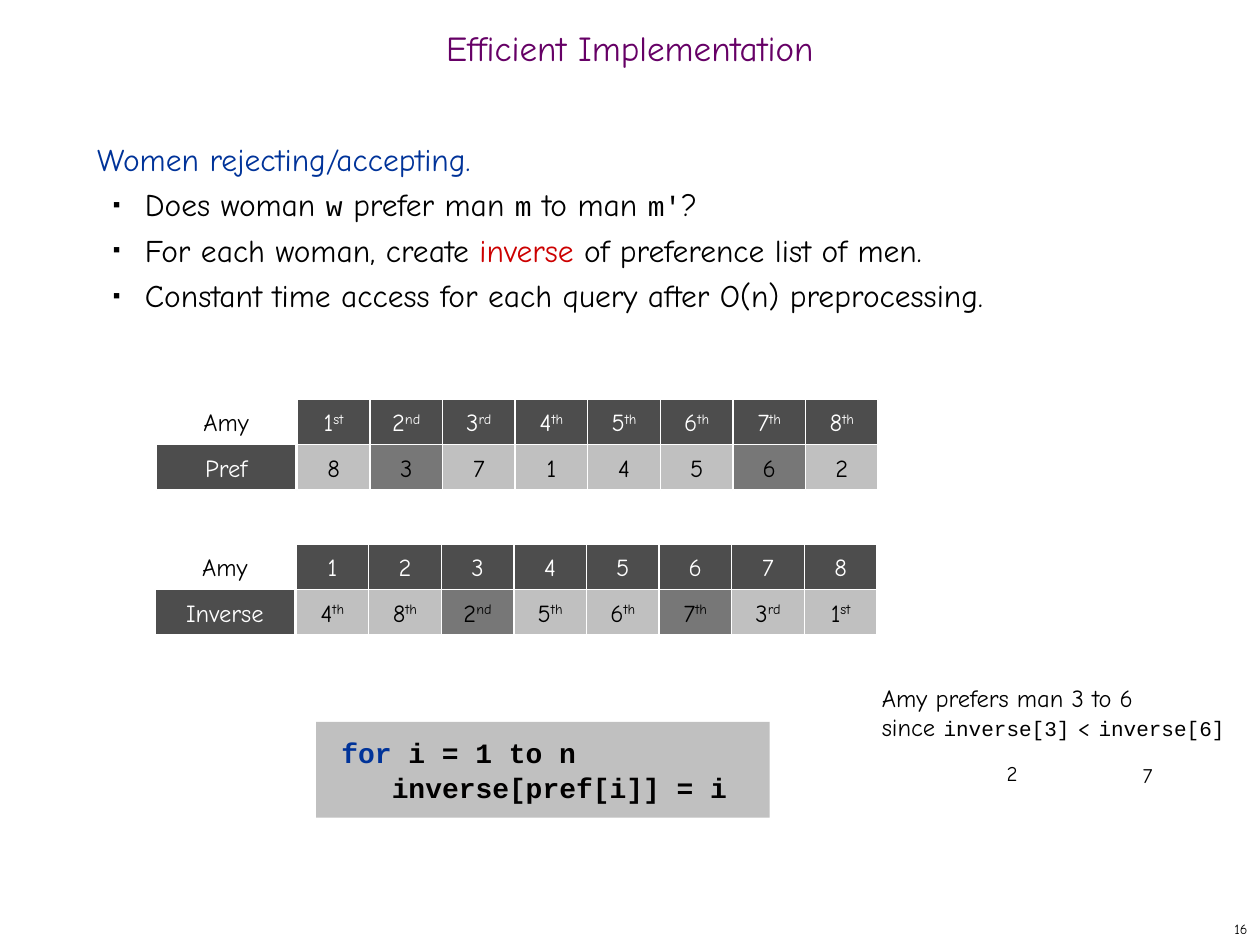
from lxml.etree import SubElement
from pptx import Presentation
from pptx.dml.color import RGBColor
from pptx.enum.shapes import MSO_SHAPE
from pptx.enum.text import MSO_ANCHOR, MSO_AUTO_SIZE, PP_ALIGN
from pptx.oxml.ns import qn
from pptx.util import Inches, Pt

HEX = {"plum": "660066", "blue": "003399", "red": "CC0000", "black": "000000",
       "ink": "010000", "white": "FFFFFF", "dark": "4D4D4D", "mid": "777777",
       "light": "C0C0C0"}
HAND, CODE = "Comic Neue", "Courier New"


def tint(name):
    return RGBColor.from_string(HEX[name])


def add_run(par, text, size, color="black", face=HAND, bold=False):
    run = par.add_run()
    run.text = text
    font = run.font
    font.size, font.name, font.bold = Pt(size), face, bold
    font.color.rgb = tint(color)
    return run


def place(shape, box):
    shape.left, shape.top, shape.width, shape.height = map(Inches, box)


def add_box(slide, box, wrap=False):
    frame = slide.shapes.add_textbox(*map(Inches, box)).text_frame
    frame.word_wrap = wrap
    return frame


def add_rect(shapes, box, fill):
    rect = shapes.add_shape(MSO_SHAPE.RECTANGLE, *map(Inches, box))
    rect.shadow.inherit = False
    if fill:
        rect.fill.solid()
        rect.fill.fore_color.rgb = tint(fill)
    else:
        rect.fill.background()
    return rect


def add_title(slide, box, text):
    title = slide.shapes.title
    place(title, box)
    frame = title.text_frame
    frame.auto_size = MSO_AUTO_SIZE.NONE
    frame.vertical_anchor = MSO_ANCHOR.MIDDLE
    par = frame.paragraphs[0]
    par.alignment, par.line_spacing = PP_ALIGN.CENTER, 0.7
    add_run(par, text, 20, "plum")


def set_bullet(par, on):
    props = par._p.get_or_add_pPr()
    props.set("marL", str(Inches(0.38) if on else 0))
    props.set("indent", str(Inches(-0.25) if on else 0))
    if not on:
        SubElement(props, qn("a:buNone"))
        return
    SubElement(SubElement(props, qn("a:buClr")), qn("a:srgbClr"), val=HEX["black"])
    SubElement(props, qn("a:buSzPct"), val="35000")
    SubElement(props, qn("a:buFont"), typeface="Arial")
    SubElement(props, qn("a:buChar"), char="■")


def add_body(slide, box, head, items):
    body = slide.placeholders[1]
    place(body, box)
    frame = body.text_frame
    frame.auto_size = MSO_AUTO_SIZE.NONE
    for i, runs in enumerate([[(head, 18, "blue")]] + items):
        par = frame.add_paragraph() if i else frame.paragraphs[0]
        par.level = 1 if i else 0
        par.line_spacing, par.space_before = Pt(26), Pt(0)
        set_bullet(par, i > 0)
        for run in runs:
            add_run(par, *run)


def add_cell(group, box, text, fill, color):
    cell = add_rect(group.shapes, box, fill)
    cell.line.color.rgb, cell.line.width = tint("white"), Pt(0.74)
    frame = cell.text_frame
    frame.word_wrap = False
    frame.vertical_anchor = MSO_ANCHOR.MIDDLE
    par = frame.paragraphs[0]
    par.alignment = PP_ALIGN.CENTER
    # Ordinals carry a raised ending
    cut = 1 if text[0].isdigit() else len(text)
    add_run(par, text[:cut], 14, color)
    if text[cut:]:
        end = add_run(par, text[cut:], 14, color)
        end._r.get_or_add_rPr().set("baseline", "30000")


def add_ranks(slide, box, label, rows, marks):
    left, top, wide, high = box
    first, tall = 1.11, high / 2
    start, step = left + 1.12, (wide - 1.12) / 8
    group = slide.shapes.add_group_shape()
    for r, row in enumerate(rows):
        for c, text in enumerate([("Amy", label)[r]] + row.split()):
            if r == c == 0:
                look = None, "black"
            elif r == 0 or c == 0:
                look = "dark", "white"
            else:
                look = "mid" if c in marks else "light", "black"
            x, w = (start + (c - 1) * step, step) if c else (left, first)
            add_cell(group, (x, top + r * tall, w, tall), text, *look)


def add_code(slide, box):
    panel = add_rect(slide.shapes, box, "light")
    panel.line.fill.background()
    frame = panel.text_frame
    frame.vertical_anchor = MSO_ANCHOR.TOP
    frame.margin_left, frame.margin_right = Inches(0.2), Inches(0.15)
    frame.margin_top = frame.margin_bottom = Inches(0.1)
    loop, step = frame.paragraphs[0], frame.add_paragraph()
    for par in (loop, step):
        par.alignment, par.line_spacing = PP_ALIGN.LEFT, Pt(20)
    add_run(loop, "for", 16, "blue", CODE, True)
    add_run(loop, " i = 1 to n", 16, "ink", CODE, True)
    step._p.get_or_add_pPr().set("marL", str(Inches(0.4)))
    add_run(step, "inverse[pref[i]] = i", 16, "ink", CODE, True)


def add_note(slide, box):
    left, top = box[:2]
    par = add_box(slide, box).paragraphs[0]
    add_run(par, "Amy prefers man 3 to 6", 14)
    par.add_line_break()
    add_run(par, "since ", 14)
    add_run(par, "inverse[3]", 12, face=CODE)
    add_run(par, " < ", 14)
    add_run(par, "inverse[6]", 12, face=CODE)
    # Values under the two terms
    for text, shift, drop in (("2", 0.99, 0.62), ("7", 2.07, 0.63)):
        spot = add_box(slide, (left + shift, top + drop, 0.29, 0.3))
        add_run(spot.paragraphs[0], text, 12)


def add_number(slide, box, text):
    frame = add_box(slide, box, wrap=True)
    frame.vertical_anchor = MSO_ANCHOR.MIDDLE
    par = frame.paragraphs[0]
    par.alignment = PP_ALIGN.RIGHT
    add_run(par, text, 8)


deck = Presentation()
deck.slide_width, deck.slide_height = Inches(10), Inches(7.5)
slide = deck.slides.add_slide(deck.slide_layouts[1])

# Heading and list
add_title(slide, (0, 0.17, 10, 0.5), "Efficient Implementation")
add_body(slide, (0.67, 1, 8.58, 5.92), "Women rejecting/accepting.", [
    [("Does woman ", 18), ("w", 16, "black", CODE), (" prefer man ", 18),
     ("m", 16, "black", CODE), (" to man ", 18), ("m'", 16, "black", CODE),
     ("?", 18)],
    [("For each woman, create ", 18), ("inverse", 18, "red"),
     (" of preference list of men.", 18)],
    [("Constant time access for each query after O(n) preprocessing.", 18)],
])

# Code, rank grids and example
add_code(slide, (2.51, 5.73, 3.6, 0.76))
add_ranks(slide, (1.24, 3.17, 5.73, 0.72), "Pref",
          ("1st 2nd 3rd 4th 5th 6th 7th 8th", "8 3 7 1 4 5 6 2"), (2, 7))
add_ranks(slide, (1.23, 4.32, 5.73, 0.72), "Inverse",
          ("1 2 3 4 5 6 7 8", "4th 8th 2nd 5th 6th 7th 3rd 1st"), (3, 6))
add_note(slide, (6.9, 5.37, 2.92, 0.57))
add_number(slide, (7.92, 7.25, 2.08, 0.25), "16")

deck.save("out.pptx")
